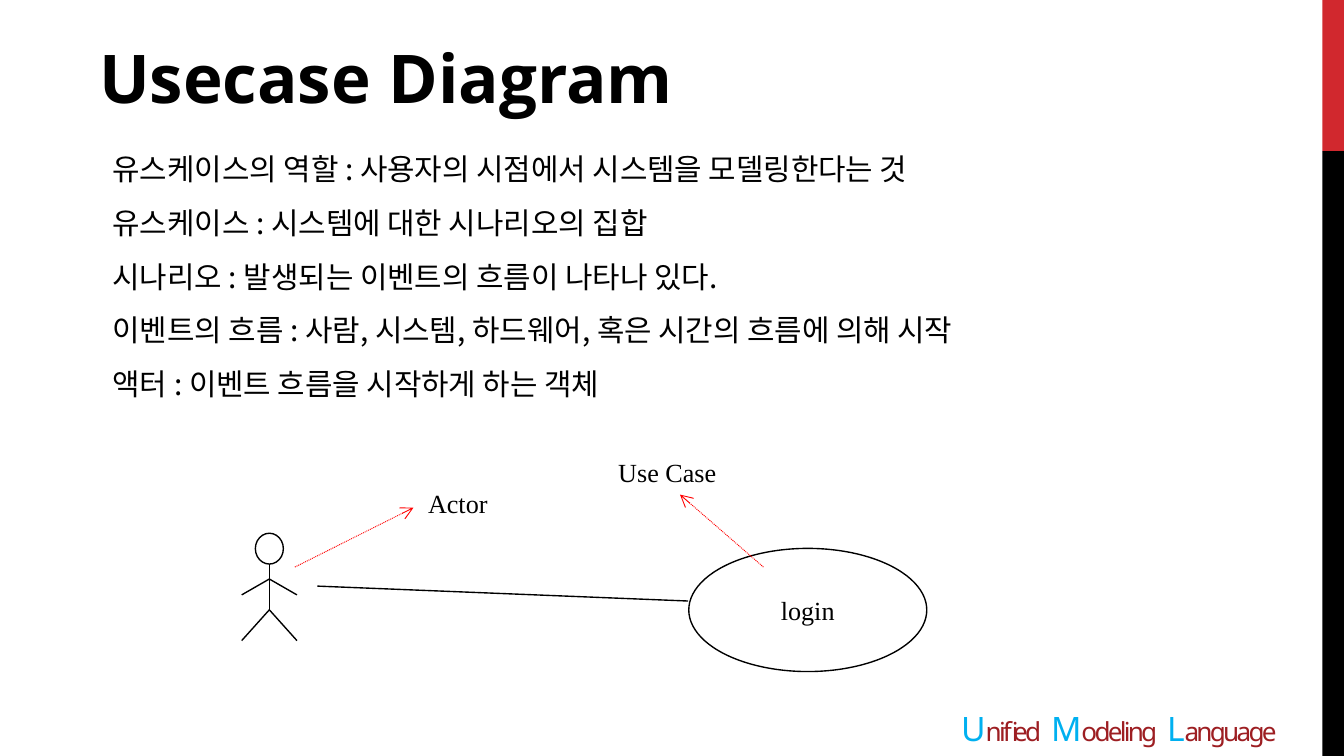
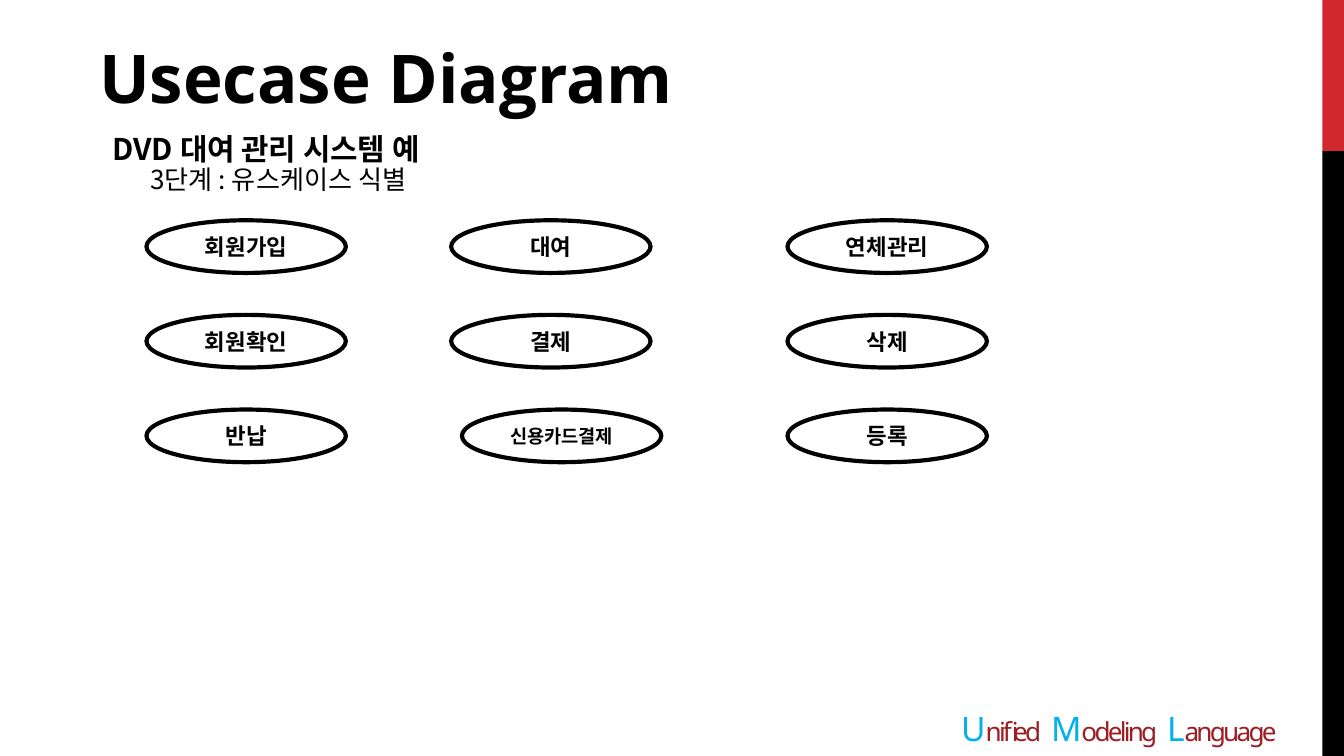
"""Builds two slides that introduce use case diagrams."""
from dataclasses import dataclass

from lxml import etree
from pptx import Presentation
from pptx.dml.color import RGBColor
from pptx.enum.dml import MSO_LINE
from pptx.enum.shapes import MSO_CONNECTOR, MSO_SHAPE
from pptx.enum.text import MSO_ANCHOR, PP_ALIGN
from pptx.oxml.ns import qn
from pptx.util import Pt

RECTANGLE, OVAL = MSO_SHAPE.RECTANGLE, MSO_SHAPE.OVAL
STRAIGHT = MSO_CONNECTOR.STRAIGHT
DOTTED = MSO_LINE.ROUND_DOT
TOP, MIDDLE, BOTTOM = MSO_ANCHOR.TOP, MSO_ANCHOR.MIDDLE, MSO_ANCHOR.BOTTOM
LEFT, CENTER = PP_ALIGN.LEFT, PP_ALIGN.CENTER


@dataclass(frozen=True)
class Theme:
    """Colours, fonts and type sizes of the deck."""
    black: str = "000000"
    white: str = "FFFFFF"
    band: str = "D1282E"
    arrow: str = "FF0000"
    initial: str = "00B0F0"
    footer: str = "9D1E22"
    title_font: str = "Open Sans"
    footer_font: str = "Noto Sans"
    korean_font: str = "Noto Sans CJK KR"
    label_font: str = "Times New Roman"
    oval_font: str = "Arial"
    title_size: int = 36
    gap_size: int = 20
    initial_size: int = 18
    body_size: int = 16
    small_size: int = 14
    oval_size: int = 12
    tight_size: int = 10
    thin: float = 0.75
    hairline: float = 0.5
    thick: float = 2.25


THEME = Theme()
TITLE = "Usecase Diagram"
TITLE_STYLE = dict(name=THEME.title_font, size=THEME.title_size, bold=True)
BODY_STYLE = dict(name=THEME.korean_font, size=THEME.body_size)
HEADING_STYLE = dict(BODY_STYLE, bold=True)
STEP_STYLE = dict(BODY_STYLE, size=THEME.small_size)
LABEL_STYLE = dict(name=THEME.label_font, size=THEME.small_size)
OVAL_STYLE = dict(name=THEME.oval_font, size=THEME.oval_size, bold=True)
TIGHT_STYLE = dict(OVAL_STYLE, size=THEME.tight_size)
BODY_FORMAT = dict(line_spacing=1.5)
CENTERED = dict(alignment=CENTER)

DEFINITIONS = [
    "유스케이스의 역할 : 사용자의 시점에서 시스템을 모델링한다는 것",
    "유스케이스 : 시스템에 대한 시나리오의 집합",
    "시나리오 : 발생되는 이벤트의 흐름이 나타나 있다.",
    "이벤트의 흐름 : 사람, 시스템, 하드웨어, 혹은 시간의 흐름에 의해 시작",
    "액터 : 이벤트 흐름을 시작하게 하는 객체",
]
USE_CASES = [
    ["회원가입", "대여", "연체관리"],
    ["회원확인", "결제", "삭제"],
    ["반납", "신용카드결제", "등록"],
]
WIDE_CASE = "신용카드결제"


def set_all(target, values):
    """Set every attribute named in a dict."""
    for name, value in values.items():
        setattr(target, name, value)


def add_span(para, text, style, color=THEME.black, tracking=None):
    """Add one formatted run to a paragraph."""
    span = para.add_run()
    span.text = text
    set_all(span.font, dict(style, size=Pt(style["size"])))
    span.font.color.rgb = RGBColor.from_string(color)
    properties = span.font._element
    east_asian = etree.SubElement(properties, qn("a:ea"))
    east_asian.set("typeface", THEME.korean_font)
    if tracking is not None:
        properties.set("spc", str(int(tracking * 100)))


def add_text(shapes, bounds, lines, style, layout=None, anchor=TOP, wrap=True, indent=0):
    """Add a text box with one paragraph for each line."""
    box = shapes.add_textbox(*map(Pt, bounds))
    set_all(box.text_frame, dict(word_wrap=wrap, vertical_anchor=anchor))
    for number, line in enumerate(lines):
        frame = box.text_frame
        para = frame.add_paragraph() if number else frame.paragraphs[0]
        set_all(para, layout or dict(alignment=LEFT))
        if indent:
            properties = para._element.get_or_add_pPr()
            properties.set("marL", str(Pt(indent)))
            properties.set("indent", "0")
        add_span(para, line, style)
    return box


def add_figure(shapes, kind, bounds, fill=None, weight=None):
    """Add a preset shape with an optional fill and outline."""
    figure = shapes.add_shape(kind, *map(Pt, bounds))
    figure.shadow.inherit = False
    if fill:
        figure.fill.solid()
        figure.fill.fore_color.rgb = RGBColor.from_string(fill)
    else:
        figure.fill.background()
    if weight:
        figure.line.color.rgb = RGBColor.from_string(THEME.black)
        figure.line.width = Pt(weight)
    else:
        figure.line.fill.background()
    return figure


def add_oval(shapes, bounds, label, style, weight, fill=None, wrap=True):
    """Add a use case oval with its label in the middle."""
    oval = add_figure(shapes, OVAL, bounds, fill, weight)
    set_all(oval.text_frame, dict(word_wrap=wrap, vertical_anchor=MIDDLE))
    para = oval.text_frame.paragraphs[0]
    set_all(para, CENTERED)
    add_span(para, label, style)


def add_line(shapes, start, end, color=THEME.black, weight=THEME.thin):
    """Add a plain straight line."""
    line = shapes.add_connector(STRAIGHT, *map(Pt, (*start, *end)))
    line.line.color.rgb = RGBColor.from_string(color)
    line.line.width = Pt(weight)
    etree.SubElement(line._element.spPr, qn("a:effectLst"))
    return line


def add_pointer(shapes, start, end):
    """Add a dotted arrow that leads to a label."""
    line = add_line(shapes, start, end, THEME.arrow, THEME.hairline)
    line.line.dash_style = DOTTED
    head = etree.SubElement(line.get_or_add_ln(), qn("a:tailEnd"))
    head.set("type", "arrow")


def add_actor(shapes, center, top):
    """Add a grouped stick figure."""
    parts = shapes.add_group_shape().shapes
    reach, neck, shoulder, hip = 14.8, top + 16.5, top + 24.5, top + 41
    add_figure(parts, OVAL, (center - 7.5, top, 15, 16.5), weight=THEME.thin)
    add_line(parts, (center, neck), (center, hip))
    for joint, drop in ((hip, 16.5), (shoulder, 8.5)):
        for side in (-reach, reach):
            add_line(parts, (center, joint), (center + side, joint + drop))


def add_footer(shapes):
    """Add the footer with highlighted initials."""
    box = add_text(shapes, (461.5, 382.3, 275.8, 22.3), [], BODY_STYLE, anchor=BOTTOM)
    para = box.text_frame.paragraphs[0]
    set_all(para, CENTERED)
    for number, word in enumerate(("Unified", "Modeling", "Language")):
        pieces = [
            (word[0], THEME.initial_size, THEME.initial),
            (word[1:], THEME.small_size, THEME.footer),
        ]
        if number:
            pieces.insert(0, (" ", THEME.gap_size, THEME.footer))
        for text, size, color in pieces:
            style = dict(name=THEME.footer_font, size=size)
            add_span(para, text, style, color, tracking=-1.5)


def add_page(deck):
    """Add a page with the bands, footer and title."""
    page = deck.slides.add_slide(deck.slide_layouts[6])
    add_figure(page.shapes, RECTANGLE, (708.5, 0, 11.5, 81), THEME.band)
    add_figure(page.shapes, RECTANGLE, (708.5, 81, 11.5, 324), THEME.black)
    add_footer(page.shapes)
    add_text(page.shapes, (46, 16, 343, 51), [TITLE], TITLE_STYLE, wrap=False)
    return page


def build_definitions(deck):
    """Build the page that defines the terms and shows an example."""
    shapes = add_page(deck).shapes
    add_text(shapes, (46.8, 67.7, 596, 152.6), DEFINITIONS, BODY_STYLE,
             BODY_FORMAT, indent=6.5)
    add_actor(shapes, 144.3, 285.7)
    add_oval(shapes, (369, 293.8, 127.5, 66), "login", LABEL_STYLE,
             THEME.thin, wrap=False)
    for label, left, top in (("Actor", 196.8, 253), ("Use Case", 309, 236.5)):
        add_text(shapes, (left, top, 97, 33), [label], LABEL_STYLE,
                 CENTERED, MIDDLE, wrap=False)
    add_pointer(shapes, (158, 303.8), (221.5, 272))
    add_pointer(shapes, (409, 303.8), (364.3, 265))
    add_line(shapes, (170, 314), (368.7, 322))


def build_use_cases(deck):
    """Build the page that lists the use cases of a rental system."""
    shapes = add_page(deck).shapes
    add_text(shapes, (46.8, 56.9, 596, 32.4), ["DVD 대여 관리 시스템 예"],
             HEADING_STYLE, BODY_FORMAT, indent=6.5)
    add_text(shapes, (73.4, 84.2, 635.8, 227.5), ["3단계 : 유스케이스 식별"], STEP_STYLE)
    for row, labels in enumerate(USE_CASES):
        for left, label in zip((78.5, 241.7, 421.9), labels):
            wide = label == WIDE_CASE
            bounds = (left + 5.8 * wide, 118 + 50.7 * row, 106.8, 28.2)
            style = TIGHT_STYLE if wide else OVAL_STYLE
            add_oval(shapes, bounds, label, style, THEME.thick, THEME.white)


def main():
    """Build and save the deck."""
    deck = Presentation()
    set_all(deck, dict(slide_width=Pt(720), slide_height=Pt(405)))
    build_definitions(deck)
    build_use_cases(deck)
    deck.save("out.pptx")


main()
